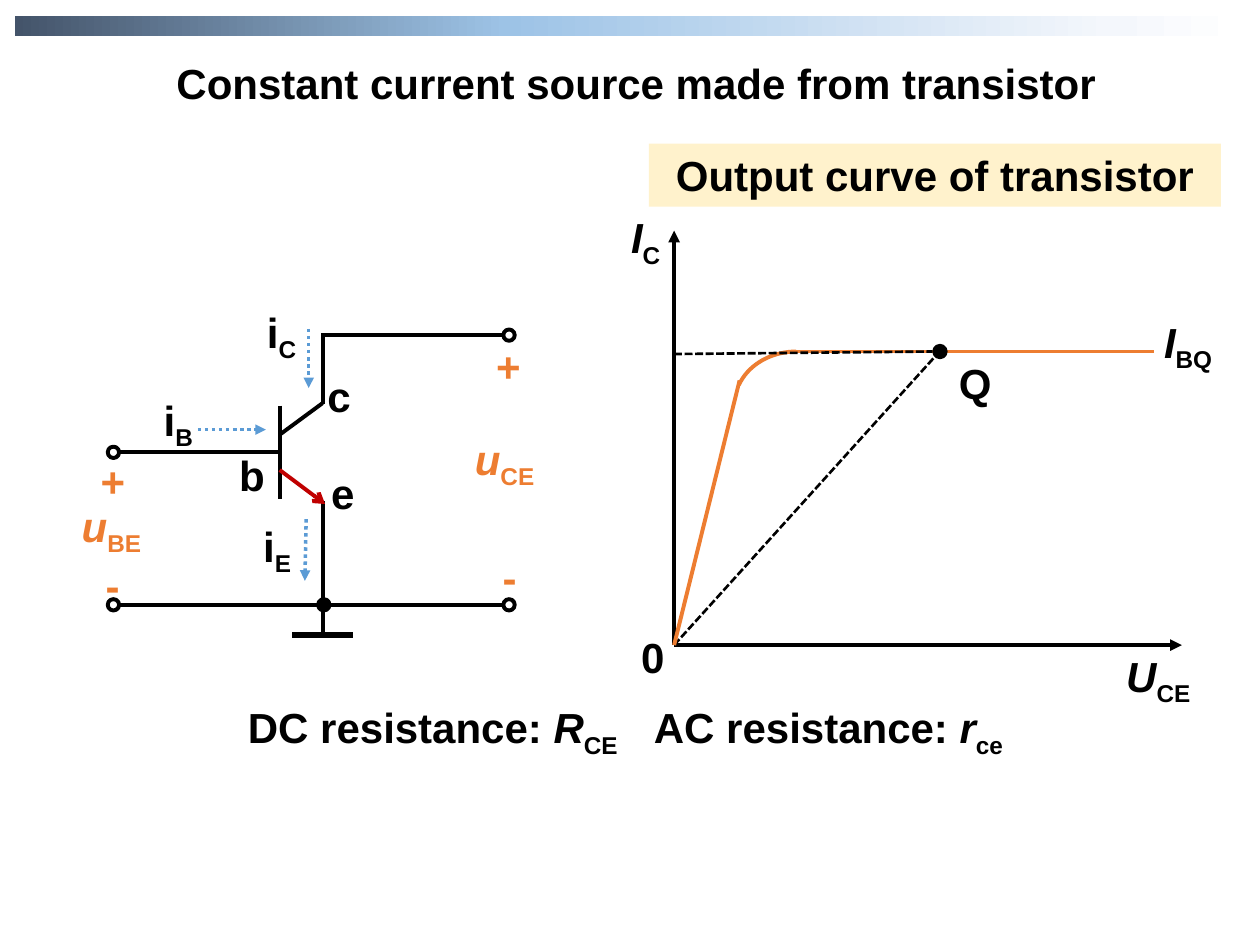
from lxml import etree
from pptx import Presentation
from pptx import util as u
from pptx.dml.color import RGBColor
from pptx.enum import dml, shapes, text
from pptx.oxml.ns import qn

Inches = u.Inches
COLORS = {"black": "000000", "white": "FFFFFF", "orange": "ED7D31", "red": "C00000",
          "blue": "5B9BD5", "cream": "FFF2CC"}
BAR_STOPS = [(0, "44546A"), (40, "9DC3E6"), (89, "F4F7FC"), (100, "FFFFFF")]
DOT, DASH = dml.MSO_LINE.ROUND_DOT, dml.MSO_LINE.SQUARE_DOT
KIND = shapes.MSO_SHAPE
CENTER, LEFT = text.PP_ALIGN.CENTER, text.PP_ALIGN.LEFT
NODE = 0.09


def rgb(name):
    return RGBColor.from_string(COLORS[name])


def write(sp, parts, color="black", align=LEFT):
    """Fill a shape with bold runs; each part is (words, style), style "", "i" or "sub"."""
    tf = sp.text_frame
    frame = {"word_wrap": True, "vertical_anchor": text.MSO_ANCHOR.TOP,
             "margin_left": Inches(0.1), "margin_right": Inches(0.1),
             "margin_top": Inches(0.05), "margin_bottom": Inches(0.05)}
    for key, value in frame.items():
        setattr(tf, key, value)
    p = tf.paragraphs[0]
    for key, value in {"alignment": align, "line_spacing": 1.0, "space_before": u.Pt(0)}.items():
        setattr(p, key, value)
    for words, style in parts:
        r = p.add_run()
        r.text = words
        font = {"name": "Arial", "size": u.Pt(24), "bold": True, "italic": style == "i"}
        for key, value in font.items():
            setattr(r.font, key, value)
        r.font.color.rgb = rgb(color)
        if style == "sub":
            r._r.get_or_add_rPr().set("baseline", "-25000")


def label(s, box, x, y, w, parts, color="black", align=LEFT):
    """Add a text box at x, y inside a region; a plain string is one run."""
    if isinstance(parts, str):
        parts = [(parts, "")]
    height = 0.59 if len(parts) > 1 else 0.5
    sp = s.shapes.add_textbox(Inches(box[0] + x), Inches(box[1] + y), Inches(w), Inches(height))
    write(sp, parts, color, align)


def line(s, box, start, end, color="black", width=2.25, dash=None, arrow=None):
    (x1, y1), (x2, y2) = start, end
    c = s.shapes.add_connector(shapes.MSO_CONNECTOR.STRAIGHT, Inches(box[0] + x1),
                               Inches(box[1] + y1), Inches(box[0] + x2), Inches(box[1] + y2))
    c.line.color.rgb = rgb(color)
    c.line.width = u.Pt(width)
    if dash:
        c.line.dash_style = dash
    if arrow:
        etree.SubElement(c.line._get_or_add_ln(), qn("a:tailEnd"), type=arrow)
    etree.SubElement(c._element.spPr, qn("a:effectLst"))


def shape(s, box, kind, x, y, w, h, fill=None, outline=None):
    sp = s.shapes.add_shape(kind, Inches(box[0] + x), Inches(box[1] + y), Inches(w), Inches(h))
    sp.shadow.inherit = False
    if fill:
        sp.fill.solid()
        sp.fill.fore_color.rgb = rgb(fill)
    else:
        sp.fill.background()
    if outline:
        sp.line.color.rgb = rgb(outline)
        sp.line.width = u.Pt(2.25)
    else:
        sp.line.fill.background()
    return sp


def node(s, box, x, y, fill="white"):
    """Small circle centred on x, y."""
    shape(s, box, KIND.OVAL, x - NODE / 2, y - NODE / 2, NODE, NODE, fill, "black")


def add_header(s, box):
    # Gradient bar
    bar = shape(s, box, KIND.RECTANGLE, 0, 0, box[2], 0.16)
    bar.fill.gradient()
    bar.fill.gradient_angle = 0
    stops = bar._element.spPr.find(qn("a:gradFill")).find(qn("a:gsLst"))
    for old in list(stops):
        stops.remove(old)
    for position, color in BAR_STOPS:
        stop = etree.SubElement(stops, qn("a:gs"), pos=str(position * 1000))
        etree.SubElement(stop, qn("a:srgbClr"), val=color)
    # Title
    title = s.shapes.title
    place = {"left": box[0], "top": box[1] + 0.28, "width": 9.86, "height": 0.5}
    for key, value in place.items():
        setattr(title, key, Inches(value))
    write(title, [("Constant current source made from transistor", "")], align=CENTER)


def add_circuit(s, box):
    left, base, emitter, right = 0.35, 1.67, 2.01, 3.49
    top, middle, bottom, ground = 0.28, 1.21, 2.42, 2.66
    # Transistor and wires
    wires = [((base, 0.84), (base, 1.58)),
             ((base, middle), (left, middle)),
             ((base, 1.07), (emitter, 0.82)),
             ((emitter, 0.83), (emitter, top)),
             ((emitter, 1.6), (emitter, ground)),
             ((right, bottom), (left, bottom)),
             ((right, top), (emitter - 0.01, top))]
    for start, end in wires:
        line(s, box, start, end)
    line(s, box, (base, 1.35), (2.03, 1.62), "red", arrow="arrow")
    line(s, box, (1.77, ground), (2.25, ground), width=3)
    # Current arrows
    currents = [((1.02, 1.03), (1.56, 1.03)), ((1.9, 0.23), (1.9, 0.7)),
                ((1.88, 1.74), (1.87, 2.23))]
    for start, end in currents:
        line(s, box, start, end, "blue", 2, DOT, "triangle")
    # Terminals and junction
    for x, y in [(right, top), (right, bottom), (left, middle), (left, bottom)]:
        node(s, box, x, y)
    node(s, box, emitter + 0.01, bottom, "black")
    # Current and electrode names
    for sub, x, y, w in [("C", 1.47, 0, 0.79), ("E", 1.44, 1.7, 0.51), ("B", 0.65, 0.7, 0.55)]:
        label(s, box, x, y, w, [("i", ""), (sub, "sub")])
    for name, x, y in [("e", 1.98, 1.28), ("c", 1.95, 0.51), ("b", 1.25, 1.14)]:
        label(s, box, x, y, 0.41, name)
    # Voltages and polarity signs
    for sub, x, y in [("BE", 0, 1.54), ("CE", 3.12, 1.01)]:
        label(s, box, x, y, 0.79, [("u", "i"), (sub, "sub")], "orange")
    for sign, x, y in [("+", 0.15, 1.19), ("-", 0.19, 2.01), ("+", 3.29, 0.27), ("-", 3.34, 1.95)]:
        label(s, box, x, y, 0.64, sign, "orange")


def add_output_curve(s, box):
    # Heading
    heading = shape(s, box, KIND.RECTANGLE, 0.24, 0, 4.54, 0.5, "cream")
    write(heading, [("Output curve of transistor", "")], align=CENTER)
    origin, point = (0.44, 3.98), (2.55, 1.65)
    level = point[1]
    # Axes and load line
    line(s, box, origin, (2.52, 1.68), width=1.5, dash=DASH)
    line(s, box, origin, (origin[0], 0.69), arrow="triangle")
    line(s, box, origin, (4.47, origin[1]), arrow="triangle")
    # Characteristic: slope, bend, plateau
    line(s, box, origin, (0.96, 1.88), "orange")
    bend = shape(s, box, KIND.ARC, 0.92, level, 0.98, 0.84, outline="orange")
    bend.adjustments[0], bend.adjustments[1] = 162, 204.75
    bend._element.spPr.find(qn("a:xfrm")).set("flipH", "1")
    line(s, box, (1.4, level), (4.25, level), "orange")
    # Operating point
    node(s, box, *point, "black")
    line(s, box, (origin[0], level + 0.02), (2.49, level), width=1.5, dash=DASH)
    # Labels
    for name, sub, x, y, w in [("I", "C", 0, 0.49, 0.55), ("U", "CE", 3.93, 3.97, 0.83),
                               ("I", "BQ", 4.23, 1.32, 0.66)]:
        label(s, box, x, y, w, [(name, "i"), (sub, "sub")])
    label(s, box, 2.48, 1.65, 0.7, "Q", align=CENTER)
    label(s, box, 0.08, 3.82, 0.55, "0")


def add_resistances(s, box):
    entries = [("DC", "R", "CE"), ("AC", "r", "ce")]
    for i, (kind, name, sub) in enumerate(entries):
        parts = [(f"{kind} resistance: ", ""), (name, "i"), (sub, "sub")]
        label(s, box, i * 3.14, 0, 3.27, parts, align=CENTER)


def main():
    prs = Presentation()
    prs.slide_width, prs.slide_height = Inches(10), Inches(7.5)
    s = prs.slides.add_slide(prs.slide_layouts[5])
    # Each box is left, top, width, height in inches
    add_header(s, (0.12, 0.13, 9.76, 0.78))
    add_circuit(s, (0.55, 2.38, 3.91, 2.66))
    add_output_curve(s, (4.91, 1.14, 4.89, 4.56))
    add_resistances(s, (1.8, 5.52, 6.41, 0.59))
    prs.save("out.pptx")


if __name__ == "__main__":
    main()
